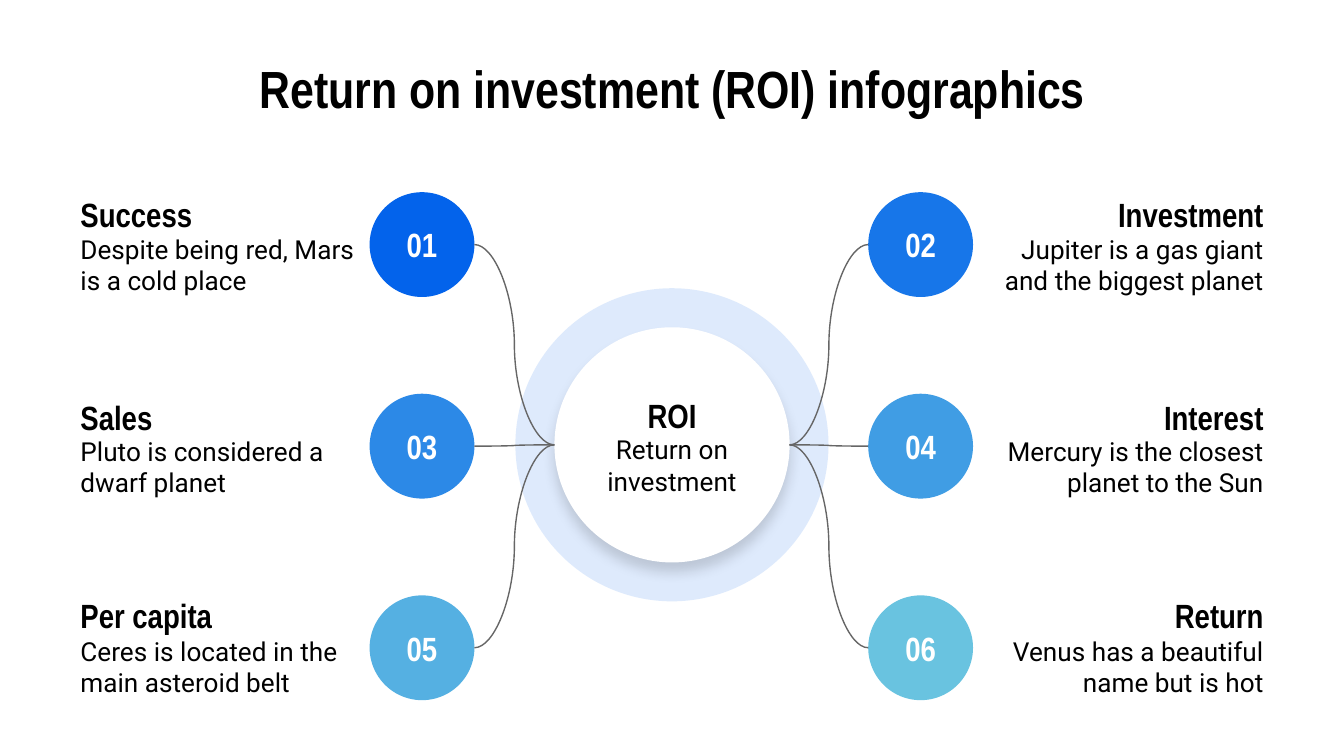
from lxml import etree
from pptx import Presentation
from pptx.dml.color import RGBColor
from pptx.enum.shapes import MSO_CONNECTOR, MSO_SHAPE
from pptx.enum.text import MSO_ANCHOR, MSO_AUTO_SIZE, PP_ALIGN
from pptx.oxml.ns import qn
from pptx.util import Pt

LEFT, MID, RIGHT = PP_ALIGN.LEFT, PP_ALIGN.CENTER, PP_ALIGN.RIGHT
OVAL, CURVE = MSO_SHAPE.OVAL, MSO_CONNECTOR.CURVE

# Content
TITLE = "Return on investment (ROI) infographics"
HUB = ("ROI", "Return on investment")
ITEMS = [
    ("01", "Success", "Despite being red, Mars is a cold place", "0363EB"),
    ("02", "Investment", "Jupiter is a gas giant and the biggest planet", "1776E9"),
    ("03", "Sales", "Pluto is considered a dwarf planet", "2C89E7"),
    ("04", "Interest", "Mercury is the closest planet to the Sun", "409DE4"),
    ("05", "Per capita", "Ceres is located in the main asteroid belt", "55B0E2"),
    ("06", "Return", "Venus has a beautiful name but is hot", "69C3E0"),
]

# Theme
THEME = {
    "title": {"name": "Arial Narrow", "size": Pt(28), "bold": True, "color": "000000"},
    "head": {"name": "Arial Narrow", "size": Pt(18), "bold": True, "color": "000000"},
    "body": {"name": "Roboto", "size": Pt(14), "bold": False, "color": "000000"},
    "num": {"name": "Arial Narrow", "size": Pt(18), "bold": True, "color": "FFFFFF"},
    "ring": "0363EB", "hub": "FFFFFF", "line": "666666", "shade": "000000",
}

# Layout, 100 px to the inch
PX = 9144
HUB_X, HUB_Y = 500, 331
RING_D, HUB_D, DOT_D = 233, 175, 78
DOT_Y, STEP = 143, 150
TEXT_Y = [(144, 175), (295, 325), (443, 474)]
HEAD_H, BODY_H, TEXT_W, HUB_W = 30, 44, 225, 119
SIDES = [  # text left, dot left, alignment, direction from hub
    (50, 275, LEFT, -1),
    (725, 646, RIGHT, 1),
]


def px(*vals):
    return [round(v * PX) for v in vals]


def write(shape, text, style, align):
    frame = shape.text_frame
    inset = px(10)[0]
    form = {"word_wrap": True, "auto_size": MSO_AUTO_SIZE.NONE,
            "vertical_anchor": MSO_ANCHOR.MIDDLE,
            "margin_left": inset, "margin_right": inset,
            "margin_top": inset, "margin_bottom": inset}
    for key, val in form.items():
        setattr(frame, key, val)
    frame.text = text
    para = frame.paragraphs[0]
    para.alignment = align
    font = para.runs[0].font
    for key, val in THEME[style].items():
        if key == "color":
            font.color.rgb = RGBColor.from_string(val)
        else:
            setattr(font, key, val)


def label(slide, box, text, style, align):
    write(slide.shapes.add_textbox(*px(*box)), text, style, align)


def disc(slide, x, y, size, color):
    shape = slide.shapes.add_shape(OVAL, *px(x, y, size, size))
    shape.shadow.inherit = False
    shape.fill.solid()
    shape.fill.fore_color.rgb = RGBColor.from_string(color)
    shape.line.fill.background()
    return shape


def fade(color, percent):
    etree.SubElement(color, qn("a:alpha"), val=str(percent * 1000))


def shade(shape):
    effects = shape._element.spPr.find(qn("a:effectLst"))
    outer = etree.SubElement(effects, qn("a:outerShdw"), blurRad=str(Pt(6.8)),
                             dist=str(Pt(5.2)), dir="5400000",
                             algn="bl", rotWithShape="0")
    fade(etree.SubElement(outer, qn("a:srgbClr"), val=THEME["shade"]), 15)


def link(slide, start, end):
    curve = slide.shapes.add_connector(CURVE, *px(*start, *end))
    curve.line.color.rgb = RGBColor.from_string(THEME["line"])
    curve.line.width = Pt(0.75)
    etree.SubElement(curve._element.spPr, qn("a:effectLst"))


def main():
    deck = Presentation()
    deck.slide_width, deck.slide_height = px(1000, 562.5)
    slide = deck.slides.add_slide(deck.slide_layouts[5])

    # Title
    title = slide.shapes.title
    title.left, title.top, title.width, title.height = px(50, 45, 900, 41)
    write(title, TITLE, "title", MID)

    # Hub: pale ring and white disc
    ring, hub = [disc(slide, HUB_X - d / 2, HUB_Y - d / 2, d, THEME[name])
                 for name, d in (("ring", RING_D), ("hub", HUB_D))]
    fade(ring._element.spPr.find(".//" + qn("a:srgbClr")), 13)
    shade(hub)
    for text, style, y, h in zip(HUB, ("head", "body"), (294, 324), (HEAD_H, BODY_H)):
        label(slide, (HUB_X - HUB_W / 2, y, HUB_W, h), text, style, MID)

    # Items in two columns, each tied to the hub
    for i, (num, head, body, color) in enumerate(ITEMS):
        row, col = divmod(i, 2)
        text_x, dot_x, align, way = SIDES[col]
        head_y, body_y = TEXT_Y[row]
        dot_y = DOT_Y + row * STEP
        label(slide, (text_x, head_y, TEXT_W, HEAD_H), head, "head", align)
        label(slide, (text_x, body_y, TEXT_W, BODY_H), body, "body", align)
        write(disc(slide, dot_x, dot_y, DOT_D, color), num, "num", MID)
        edge = dot_x + (DOT_D if way < 0 else 0)
        link(slide, (HUB_X + way * HUB_D / 2, HUB_Y), (edge, dot_y + DOT_D / 2))

    deck.save("out.pptx")


if __name__ == "__main__":
    main()
